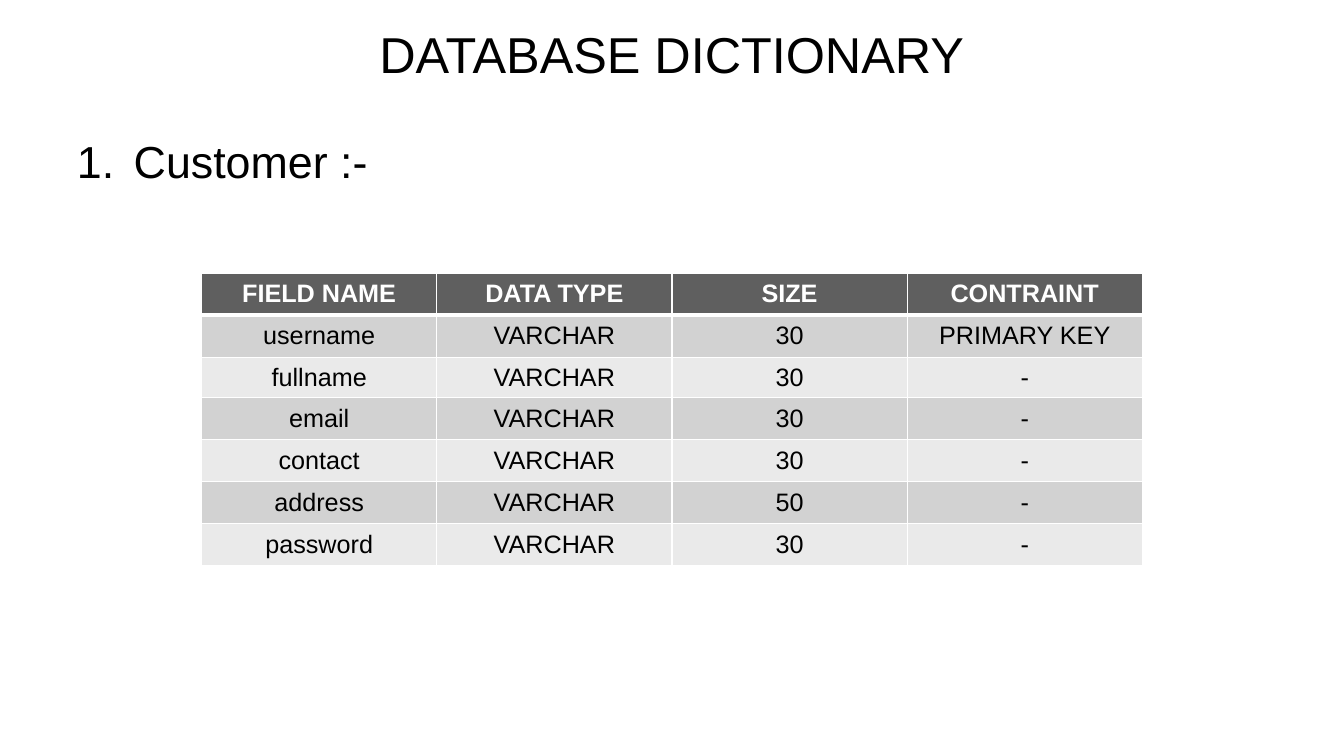
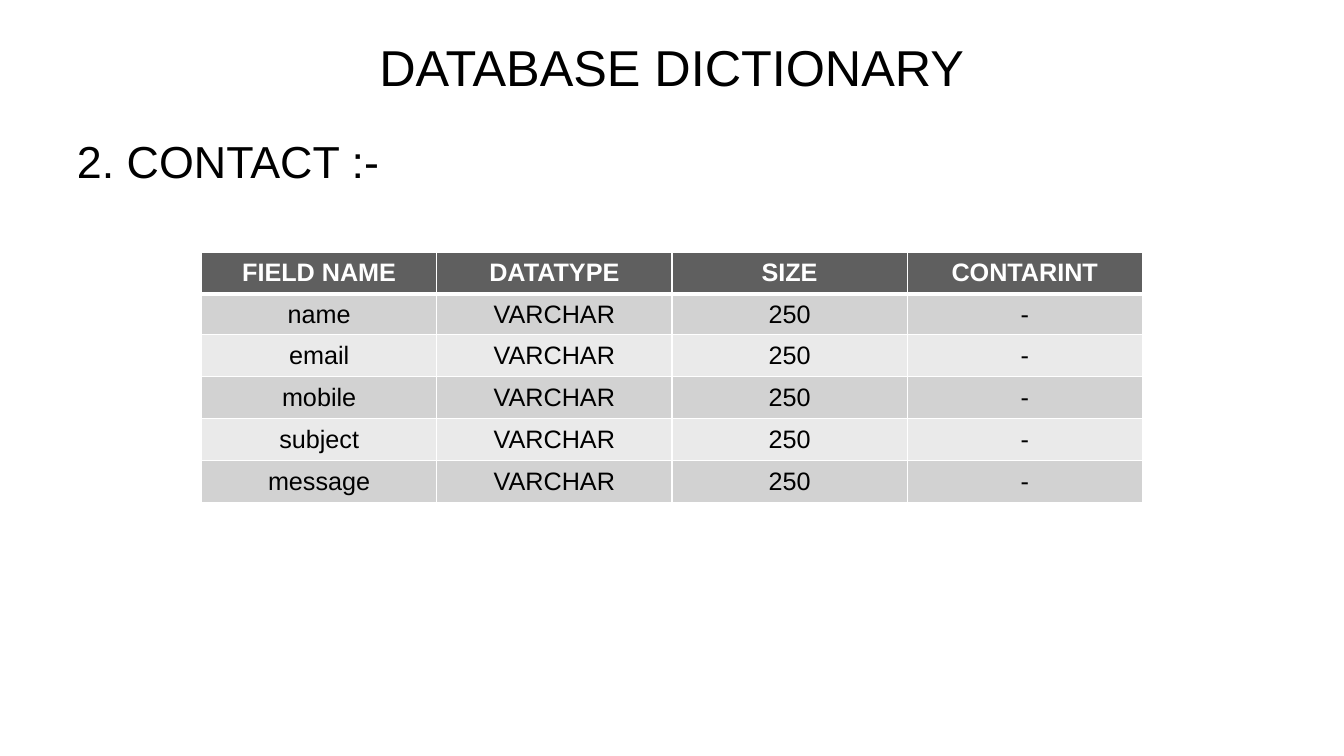
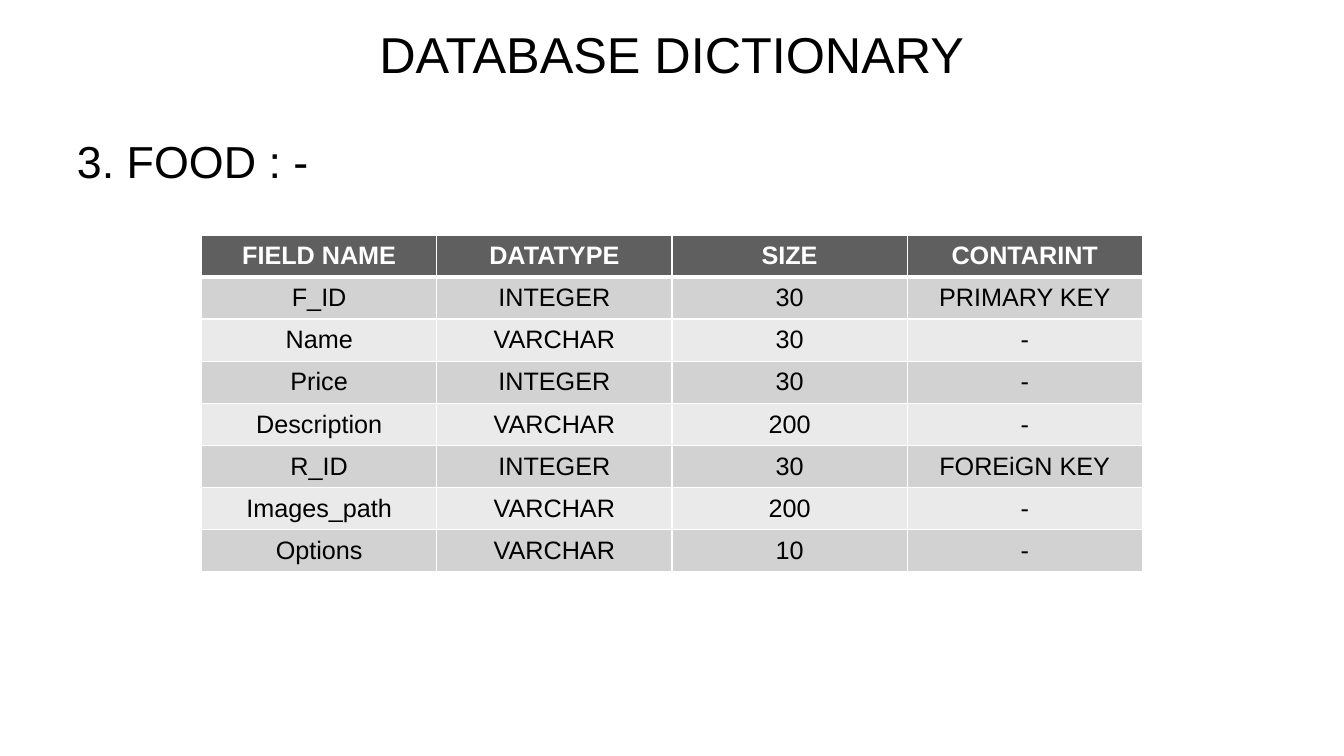
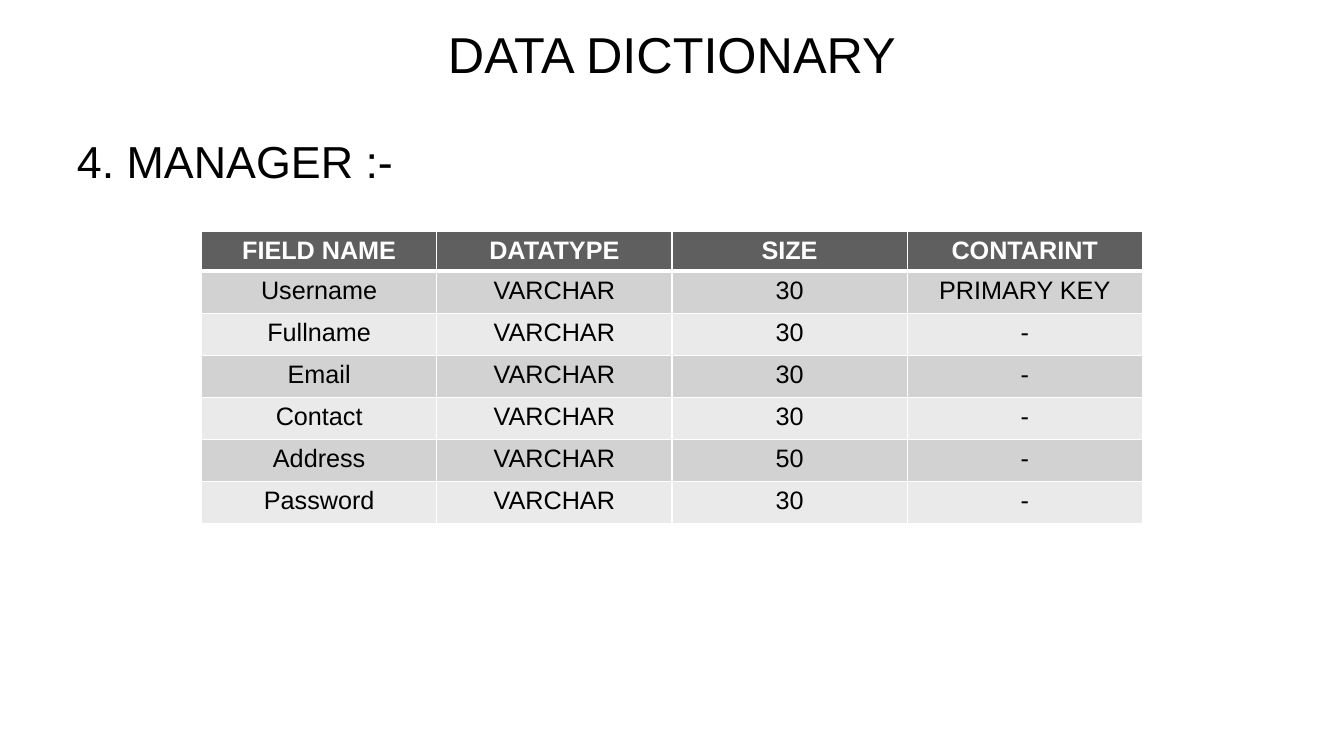
import pptx
import pptx.util
import pptx.dml.color
import pptx.enum.text
from lxml import etree
from pptx.oxml.ns import qn

Cm, Pt = pptx.util.Cm, pptx.util.Pt
Align = pptx.enum.text.PP_ALIGN
Anchor = pptx.enum.text.MSO_ANCHOR


class Theme:
    font = "Arial"
    ink = "000000"
    paper = "FFFFFF"
    header = "5F5F5F"
    bands = ("D2D2D2", "EAEAEA")
    title_size = 36
    heading_size = 32
    table_size = 18
    thin_rule = 1
    thick_rule = 3


FIELD_COLUMNS = ("FIELD NAME", "DATATYPE", "SIZE", "CONTARINT")

ENTRIES = [
    {
        "title": "DATABASE DICTIONARY", "title_top": 0.53,
        "heading": "Customer :-", "numbered": True,
        "table_top": 6.88, "short_rows": {2: 1.02}, "row_anchor": Anchor.MIDDLE,
        "columns": ("FIELD NAME", "DATA TYPE", "SIZE", "CONTRAINT"),
        "fields": [
            ("username", "VARCHAR", "30", "PRIMARY KEY"),
            ("fullname", "VARCHAR", "30", "-"),
            ("email", "VARCHAR", "30", "-"),
            ("contact", "VARCHAR", "30", "-"),
            ("address", "VARCHAR", "50", "-"),
            ("password", "VARCHAR", "30", "-"),
        ],
    },
    {
        "title": "DATABASE DICTIONARY", "title_top": 0.86,
        "heading": "2. CONTACT :-", "numbered": False,
        "table_top": 6.35, "short_rows": {1: 1.02}, "row_anchor": Anchor.MIDDLE,
        "columns": FIELD_COLUMNS,
        "fields": [
            ("name", "VARCHAR", "250", "-"),
            ("email", "VARCHAR", "250", "-"),
            ("mobile", "VARCHAR", "250", "-"),
            ("subject", "VARCHAR", "250", "-"),
            ("message", "VARCHAR", "250", "-"),
        ],
    },
    {
        "title": "DATABASE DICTIONARY", "title_top": 0.53,
        "heading": "3. FOOD : -", "numbered": False,
        "table_top": 5.92, "short_rows": {}, "row_anchor": Anchor.MIDDLE,
        "columns": FIELD_COLUMNS,
        "fields": [
            ("F_ID", "INTEGER", "30", "PRIMARY KEY"),
            ("Name", "VARCHAR", "30", "-"),
            ("Price", "INTEGER", "30", "-"),
            ("Description", "VARCHAR", "200", "-"),
            ("R_ID", "INTEGER", "30", "FOREiGN KEY"),
            ("Images_path", "VARCHAR", "200", "-"),
            ("Options", "VARCHAR", "10", "-"),
        ],
    },
    {
        "title": "DATA DICTIONARY", "title_top": 0.53,
        "heading": "4. MANAGER :-", "numbered": False,
        "table_top": 5.82, "short_rows": {0: 0.99}, "row_anchor": Anchor.TOP,
        "columns": FIELD_COLUMNS,
        "fields": [
            ("Username", "VARCHAR", "30", "PRIMARY KEY"),
            ("Fullname", "VARCHAR", "30", "-"),
            ("Email", "VARCHAR", "30", "-"),
            ("Contact", "VARCHAR", "30", "-"),
            ("Address", "VARCHAR", "50", "-"),
            ("Password", "VARCHAR", "30", "-"),
        ],
    },
]

SLIDE_WIDTH, SLIDE_HEIGHT = 33.87, 19.05
MARGIN = 1.69
TITLE_HEIGHT = 1.63
HEADING_TOP, HEADING_HEIGHT = 3.25, 13.77
NUMBER_INDENT = 1.43
TABLE_LEFT = 5.08
ROW_HEIGHT = 1.06


def rgb(color):
    return pptx.dml.color.RGBColor.from_string(color)


def style(paragraph, size, color=Theme.ink, bold=False, align=Align.CENTER):
    paragraph.alignment = align
    font = paragraph.font
    font.name, font.size, font.bold = Theme.font, Pt(size), bold
    font.color.rgb = rgb(color)


def add_line_of_text(slide, text, top, height, anchor):
    frame = slide.shapes.add_textbox(
        Cm(MARGIN), Cm(top), Cm(SLIDE_WIDTH - 2 * MARGIN), Cm(height)).text_frame
    frame.word_wrap = True
    frame.vertical_anchor = anchor
    frame.text = text
    return frame.paragraphs[0]


def number(paragraph):
    properties = paragraph._p.get_or_add_pPr()
    properties.set("marL", str(Cm(NUMBER_INDENT)))
    properties.set("indent", str(-Cm(NUMBER_INDENT)))
    etree.SubElement(properties, qn("a:buFont"), typeface="+mj-lt")
    etree.SubElement(properties, qn("a:buAutoNum"), type="arabicPeriod")


def rule_cell(cell, top, bottom):
    properties = cell._tc.get_or_add_tcPr()
    widths = {"L": Theme.thin_rule, "R": Theme.thin_rule, "T": top, "B": bottom}
    for side, width in widths.items():
        line = etree.SubElement(properties, qn("a:ln" + side), w=str(Pt(width)))
        fill = etree.SubElement(line, qn("a:solidFill"))
        etree.SubElement(fill, qn("a:srgbClr"), val=Theme.paper)


def add_field_table(slide, entry):
    rows = [entry["columns"], *entry["fields"]]
    heights = [Cm(entry["short_rows"].get(i, ROW_HEIGHT)) for i in range(len(rows))]
    table = slide.shapes.add_table(
        len(rows), len(rows[0]), Cm(TABLE_LEFT), Cm(entry["table_top"]),
        Cm(SLIDE_WIDTH - 2 * TABLE_LEFT), sum(heights)).table
    for r, values in enumerate(rows):
        table.rows[r].height = heights[r]
        is_header = r == 0
        for c, value in enumerate(values):
            cell = table.cell(r, c)
            cell.text = value
            cell.vertical_anchor = Anchor.MIDDLE if is_header else entry["row_anchor"]
            rule_cell(cell,
                      Theme.thick_rule if r == 1 else Theme.thin_rule,
                      Theme.thick_rule if is_header else Theme.thin_rule)
            cell.fill.solid()
            cell.fill.fore_color.rgb = rgb(
                Theme.header if is_header else Theme.bands[(r - 1) % 2])
            style(cell.text_frame.paragraphs[0], Theme.table_size,
                  Theme.paper if is_header else Theme.ink, is_header)


def add_entry(deck, entry):
    slide = deck.slides.add_slide(deck.slide_layouts[6])
    title = add_line_of_text(
        slide, entry["title"], entry["title_top"], TITLE_HEIGHT, Anchor.MIDDLE)
    style(title, Theme.title_size)
    heading = add_line_of_text(
        slide, entry["heading"], HEADING_TOP, HEADING_HEIGHT, Anchor.TOP)
    heading.space_before = Pt(3.6)
    if entry["numbered"]:
        number(heading)
    style(heading, Theme.heading_size, align=Align.LEFT)
    add_field_table(slide, entry)


def main():
    deck = pptx.Presentation()
    deck.slide_width, deck.slide_height = Cm(SLIDE_WIDTH), Cm(SLIDE_HEIGHT)
    for entry in ENTRIES:
        add_entry(deck, entry)
    deck.save("out.pptx")


if __name__ == "__main__":
    main()
